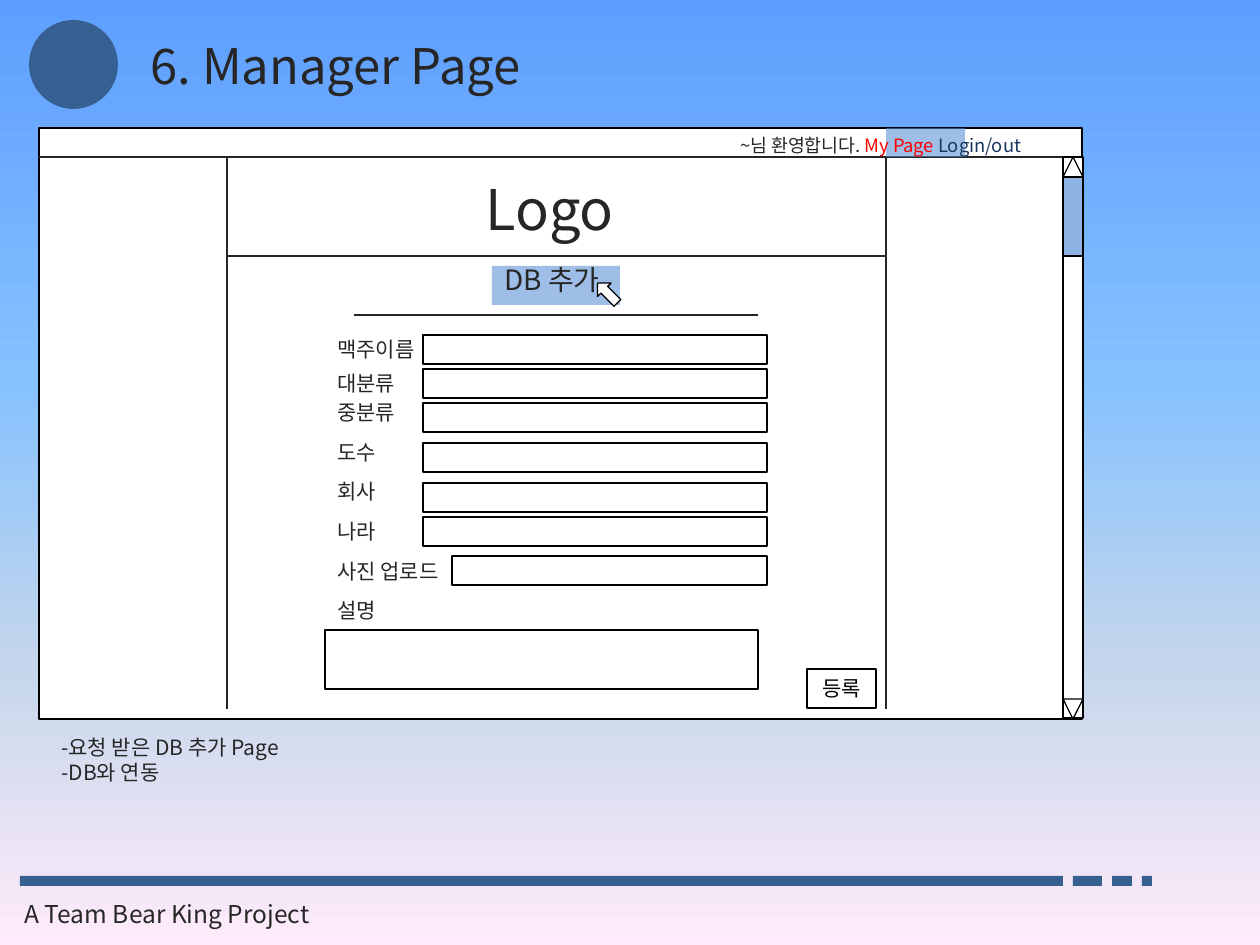
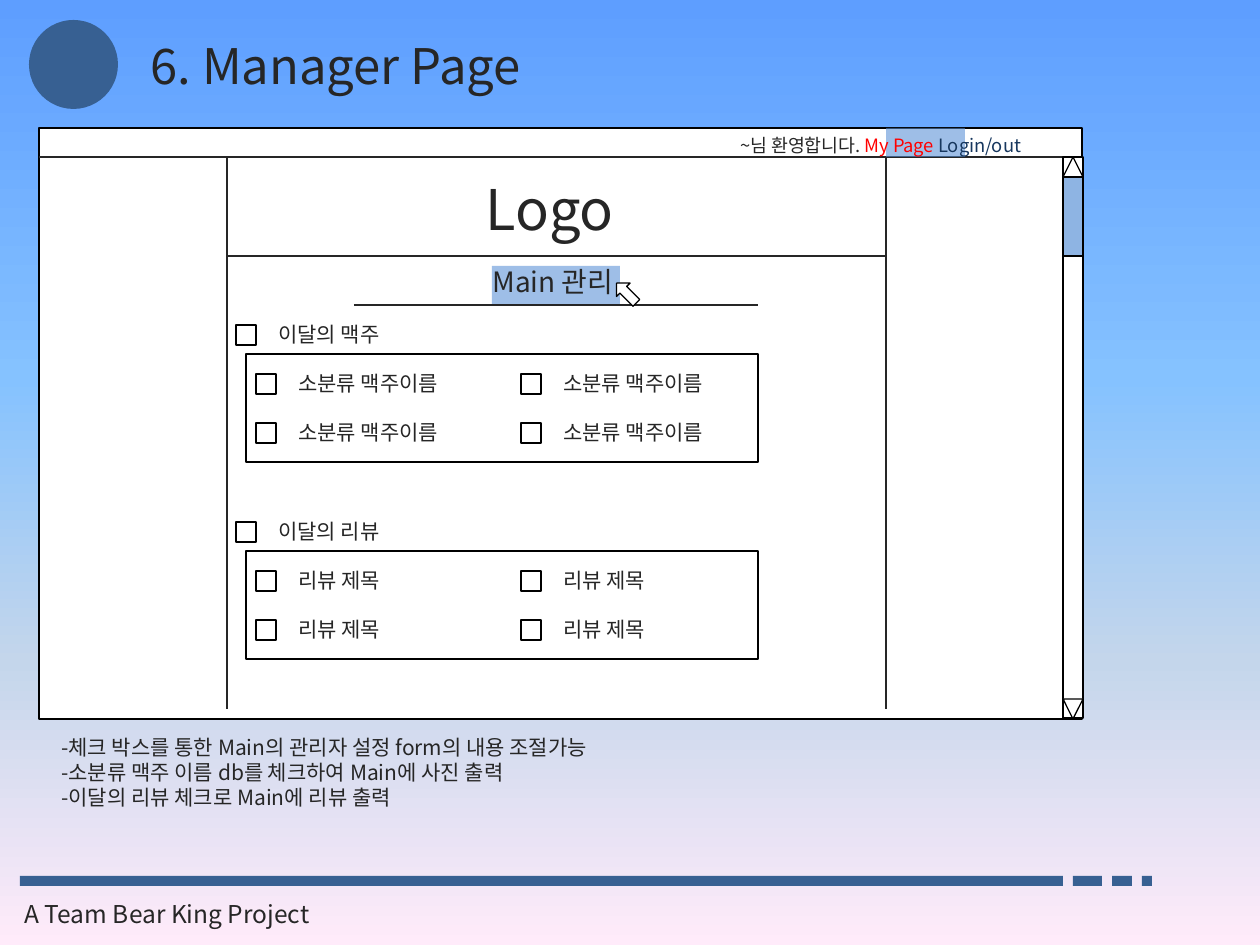
from dataclasses import dataclass
from typing import Optional

from lxml.etree import SubElement
from pptx import Presentation
from pptx.dml.color import RGBColor
from pptx.enum.shapes import MSO_CONNECTOR, MSO_SHAPE as Preset
from pptx.enum.text import MSO_ANCHOR, MSO_AUTO_SIZE, PP_ALIGN
from pptx.oxml.ns import qn
from pptx.util import Pt

PX = 914400 / 126  # EMU in one pixel
FONT = "Noto Sans CJK KR"

INK = RGBColor(0x26, 0x26, 0x26)
BLACK = RGBColor(0, 0, 0)
WHITE = RGBColor(0xFF, 0xFF, 0xFF)
NAVY = RGBColor(0x37, 0x60, 0x92)
HIGHLIGHT = RGBColor(0x55, 0x8E, 0xD5)
THUMB = RGBColor(0x8E, 0xB4, 0xE3)
RED = RGBColor(0xFF, 0, 0)
LOGIN_BLUE = RGBColor(0x17, 0x37, 0x5E)
SKY = ((0, RGBColor(0x5E, 0x9E, 0xFF)), (40, RGBColor(0x85, 0xC2, 0xFF)),
       (70, RGBColor(0xC4, 0xD6, 0xEB)), (100, RGBColor(0xFF, 0xEB, 0xFA)))

LABEL_FRAME = {"word_wrap": False, "auto_size": MSO_AUTO_SIZE.SHAPE_TO_FIT_TEXT}
NOTE_FRAME = LABEL_FRAME | {"word_wrap": True}
BUTTON_FRAME = {"word_wrap": True, "vertical_anchor": MSO_ANCHOR.MIDDLE}


@dataclass(frozen=True)
class Box:
    left: float
    top: float
    width: float
    height: float

    def emu(self) -> list[int]:
        return [round(v * PX) for v in (self.left, self.top, self.width, self.height)]


@dataclass(frozen=True)
class Words:
    text: str
    color: RGBColor = INK


@dataclass(frozen=True)
class Field:
    label: str
    label_top: int
    entry: Box


@dataclass(frozen=True)
class CheckGroup:
    heading: str
    item: str
    top: int


# Wireframe geometry shared by both pages
WINDOW = Box(39, 128, 1043, 591)
COLUMN_LEFT, COLUMN_RIGHT, COLUMN_BOTTOM = 227, 886, 709
BAR_BOTTOM, LOGO_BOTTOM = 157, 256
SCROLL_LEFT, SCROLL_WIDTH = 1063, 20
CHECK_SIZE = 20

FIELDS = (
    Field("맥주이름", 330, Box(423, 335, 344, 29)),
    Field("대분류", 364, Box(423, 369, 344, 29)),
    Field("중분류", 393, Box(423, 403, 344, 29)),
    Field("도수", 433, Box(423, 443, 344, 29)),
    Field("회사", 472, Box(423, 483, 344, 29)),
    Field("나라", 512, Box(423, 517, 344, 29)),
    Field("사진 업로드", 552, Box(452, 556, 315, 29)),
    Field("설명", 591, Box(325, 630, 433, 59)),
)
CHECK_GROUPS = (CheckGroup("이달의 맥주", "소분류 맥주이름", 315),
                CheckGroup("이달의 리뷰", "리뷰 제목", 512))


def add_shape(slide, preset, box: Box, fill: RGBColor = WHITE,
              outline: Optional[RGBColor] = BLACK, opacity: int = 100):
    shape = slide.shapes.add_shape(preset, *box.emu())
    shape.shadow.inherit = False
    shape.fill.solid()
    shape.fill.fore_color.rgb = fill
    if opacity < 100:
        color = shape.element.spPr.find(qn("a:solidFill"))[0]
        SubElement(color, qn("a:alpha")).set("val", str(opacity * 1000))
    if outline is None:
        shape.line.fill.background()
    else:
        shape.line.color.rgb = outline
        shape.line.width = Pt(0.75)
    return shape


def add_rule(slide, x1: int, y1: int, x2: int, y2: int) -> None:
    ends = [round(v * PX) for v in (x1, y1, x2, y2)]
    rule = slide.shapes.add_connector(MSO_CONNECTOR.STRAIGHT, *ends)
    rule.line.color.rgb = INK
    rule.line.width = Pt(0.75)
    SubElement(rule.element.spPr, qn("a:effectLst"))


def write(shape, lines: list[list[Words]], size: float, frame_format: dict,
          align: PP_ALIGN = PP_ALIGN.LEFT) -> None:
    frame = shape.text_frame
    for name, value in frame_format.items():
        setattr(frame, name, value)
    for number, line in enumerate(lines):
        paragraph = frame.add_paragraph() if number else frame.paragraphs[0]
        paragraph.alignment = align
        for words in line:
            run = paragraph.add_run()
            run.text = words.text
            for name, value in {"size": Pt(size), "name": FONT}.items():
                setattr(run.font, name, value)
            run.font.color.rgb = words.color
            east_asian = SubElement(run.font._element, qn("a:ea"))
            east_asian.set("typeface", FONT)


def add_text(slide, box: Box, size: float, *words: Words) -> None:
    write(slide.shapes.add_textbox(*box.emu()), [list(words)], size, LABEL_FRAME)


def add_label(slide, left: int, top: int, text: str) -> None:
    """A 12 pt label whose box fits its Korean letters and spaces."""
    spaces = text.count(" ")
    width = round(25 + 21.3 * (len(text) - spaces) + 7 * spaces)
    add_text(slide, Box(left, top, width, 38), 12, Words(text))


def add_check(slide, left: int, top: int, text: str) -> None:
    add_shape(slide, Preset.RECTANGLE, Box(left, top, CHECK_SIZE, CHECK_SIZE))
    add_label(slide, left + 30, top - 10, text)


def paint_background(slide) -> None:
    slide.background.fill.gradient()
    gradient = slide.element.find(".//" + qn("a:gradFill"))
    for part in list(gradient):
        gradient.remove(part)
    stops = SubElement(gradient, qn("a:gsLst"))
    for percent, color in SKY:
        stop = SubElement(stops, qn("a:gs"))
        stop.set("pos", str(percent * 1000))
        SubElement(stop, qn("a:srgbClr")).set("val", str(color))
    direction = SubElement(gradient, qn("a:lin"))
    direction.set("ang", str(90 * 60000))
    direction.set("scaled", "0")


def add_page(prs, notes: list[str]):
    """Everything the manager pages share, plus the notes below the window."""
    slide = prs.slides.add_slide(prs.slide_layouts[6])
    paint_background(slide)

    # Footer band and title
    for left, width in ((20, 1043), (1073, 29), (1112, 20), (1142, 10)):
        add_shape(slide, Preset.RECTANGLE, Box(left, 876, width, 10), NAVY, None)
    add_text(slide, Box(12, 893, 369, 43), 14, Words("A Team Bear King Project"))
    add_shape(slide, Preset.OVAL, Box(29, 20, 89, 89), NAVY, None)
    add_text(slide, Box(138, 29, 462, 72), 28, Words("6. Manager Page"))

    # Browser window
    add_shape(slide, Preset.RECTANGLE, WINDOW)
    window_right = WINDOW.left + WINDOW.width
    add_rule(slide, WINDOW.left, BAR_BOTTOM, window_right, BAR_BOTTOM)
    for x in (COLUMN_LEFT, COLUMN_RIGHT):
        add_rule(slide, x, BAR_BOTTOM, x, COLUMN_BOTTOM)
    add_rule(slide, COLUMN_LEFT, LOGO_BOTTOM, COLUMN_RIGHT, LOGO_BOTTOM)
    add_text(slide, Box(473, 168, 176, 81), 32, Words("Logo"))
    add_shape(slide, Preset.RECTANGLE, Box(COLUMN_RIGHT, 128, 79, 29),
              HIGHLIGHT, None, 57)
    add_text(slide, Box(728, 128, 354, 35), 10.5, Words("~님 환영합니다. "),
             Words("My Page ", RED), Words("Login/out", LOGIN_BLUE))

    # Scroll bar
    def scroll_part(preset, top: int, height: int, fill: RGBColor = WHITE):
        return add_shape(slide, preset,
                         Box(SCROLL_LEFT, top, SCROLL_WIDTH, height), fill)

    scroll_part(Preset.RECTANGLE, BAR_BOTTOM, 561)
    scroll_part(Preset.ISOSCELES_TRIANGLE, BAR_BOTTOM, 20)
    down = scroll_part(Preset.ISOSCELES_TRIANGLE, 699, 20)
    down.element.spPr.find(qn("a:xfrm")).set("flipV", "1")
    scroll_part(Preset.RECTANGLE, 177, 79, THUMB)

    # Notes
    notes_box = Box(49, 728, 1033, 31 + 26 * (len(notes) - 1) + 6)
    write(slide.shapes.add_textbox(*notes_box.emu()),
          [[Words(note)] for note in notes], 12, NOTE_FRAME)
    return slide


def add_menu_heading(slide, text: str, box: Box, rule_top: int,
                     cursor_left: int) -> None:
    add_shape(slide, Preset.RECTANGLE, Box(492, 266, 128, 39), HIGHLIGHT, None, 57)
    add_rule(slide, 354, rule_top, 758, rule_top)
    add_text(slide, box, 16, Words(text))
    cursor = add_shape(slide, Preset.UP_ARROW, Box(cursor_left, 279, 19, 28))
    cursor.rotation = 315.2


def add_entry_page(prs) -> None:
    slide = add_page(prs, ["-요청 받은 DB 추가 Page", "-DB와 연동"])
    add_menu_heading(slide, "DB 추가", Box(492, 256, 136, 47), 315, 598)
    for field in FIELDS:
        add_label(slide, 325, field.label_top, field.label)
        add_shape(slide, Preset.RECTANGLE, field.entry)
    register = add_shape(slide, Preset.RECTANGLE, Box(807, 669, 69, 39))
    write(register, [[Words("등록", BLACK)]], 12, BUTTON_FRAME, PP_ALIGN.CENTER)


def add_main_page(prs) -> None:
    slide = add_page(prs, ["-체크 박스를 통한 Main의 관리자 설정 form의 내용 조절가능",
                           "-소분류 맥주 이름 db를 체크하여 Main에 사진 출력 ",
                           "-이달의 리뷰 체크로 Main에 리뷰 출력"])
    add_menu_heading(slide, "Main 관리", Box(480, 258, 164, 47), 305, 617)
    for group in CHECK_GROUPS:
        add_check(slide, 236, group.top + 10, group.heading)
        add_shape(slide, Preset.RECTANGLE, Box(246, group.top + 39, 512, 108))
        for left in (256, 521):
            for row in range(2):
                add_check(slide, left, group.top + 59 + 49 * row, group.item)


def main() -> None:
    prs = Presentation()
    prs.slide_width, prs.slide_height = round(1260 * PX), round(945 * PX)
    add_entry_page(prs)
    add_main_page(prs)
    prs.save("out.pptx")


main()
